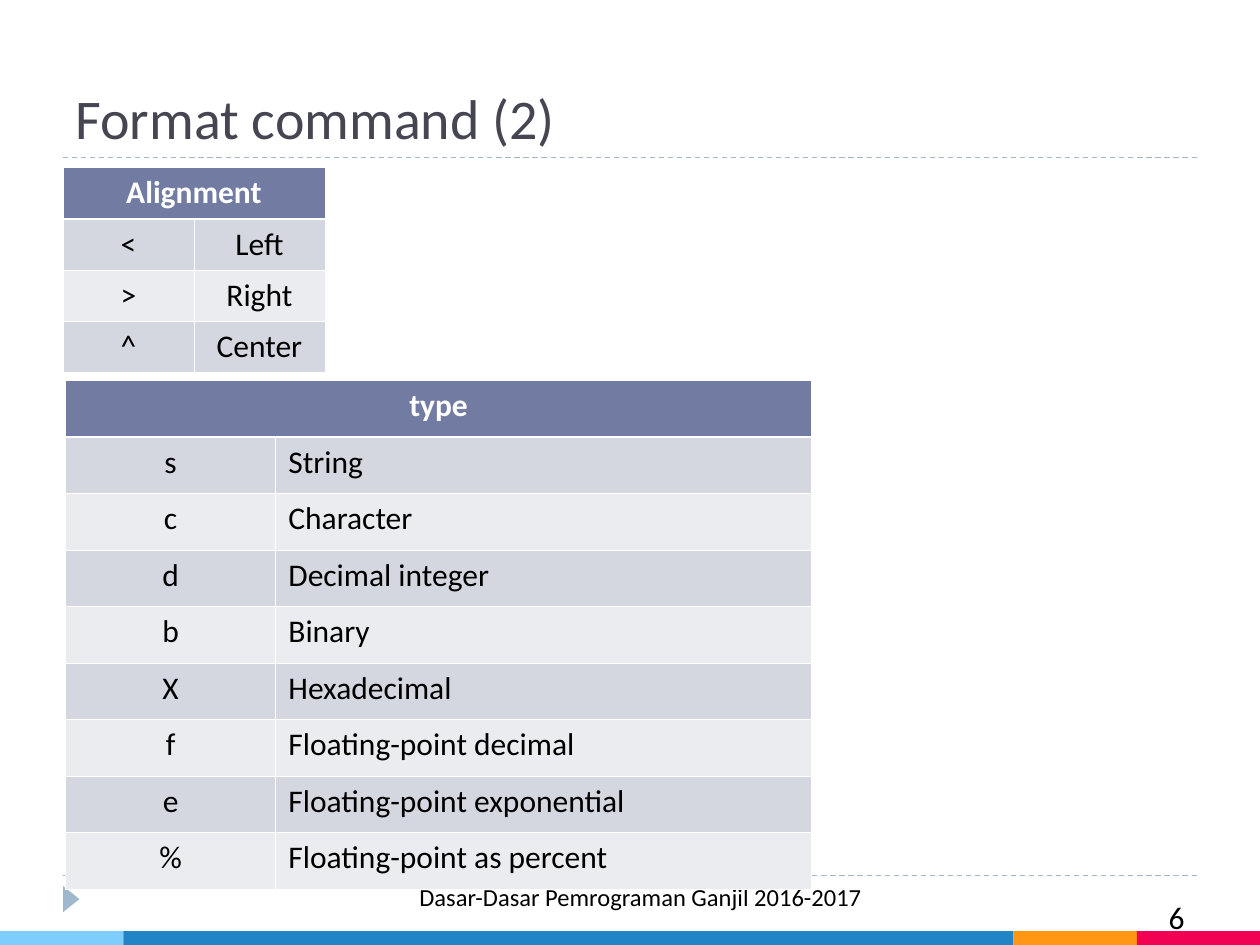
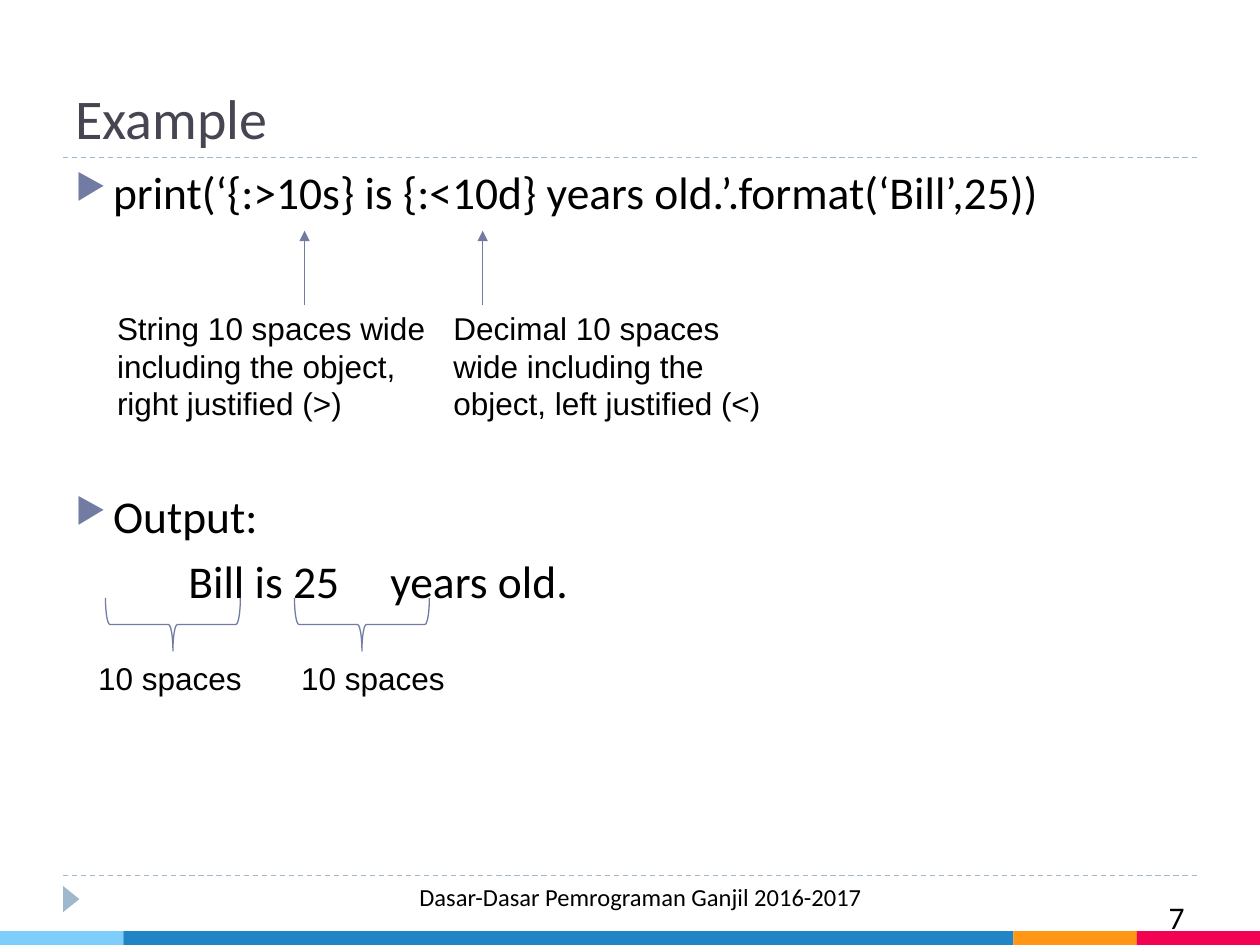
import pptx
import pptx.chart.data
import pptx.dml.color
import pptx.enum.dml
import pptx.enum.shapes
import pptx.enum.text
import pptx.oxml
import pptx.oxml.ns
import pptx.util
from lxml import etree

Cm = pptx.util.Cm
Pt = pptx.util.Pt
Shape = pptx.enum.shapes.MSO_SHAPE
Align = pptx.enum.text.PP_ALIGN
Anchor = pptx.enum.text.MSO_ANCHOR


def color(value):
    return pptx.dml.color.RGBColor.from_string(value)


def add_element(parent, tag, **attributes):
    return etree.SubElement(parent, pptx.oxml.ns.qn(tag), attributes)


class Lecture:
    ink = "000000"
    title_ink = "464653"
    accent = "727CA3"
    guide = "9FB8CD"
    white = "FFFFFF"
    stripes = ("D5D7E0", "EBECF0")
    bands = (("7ECEFD", 2.49), ("2185C5", 17.94), ("FF9715", 2.49), ("F20253", 2.48))
    footer = "Dasar-Dasar Pemrograman Ganjil 2016-2017"

    def __init__(self):
        self.deck = pptx.Presentation()
        self.deck.slide_width = Cm(25.4)
        self.deck.slide_height = Cm(19.05)
        self.page = None

    def new_page(self, title, number):
        self.page = self.deck.slides.add_slide(self.deck.slide_layouts[6])
        for height in (17.65, 3.18):
            rule = self.line((1.27, height), (24.13, height), self.guide)
            rule.line.dash_style = pptx.enum.dml.MSO_LINE.DASH
        marker = self.shape(Shape.ISOSCELES_TRIANGLE, 1.17, 17.96, 0.53, 0.33, fill=self.guide)
        marker.rotation = 90
        self.text(str(number), 18.62, 17.98, 5.51, 1.02, align=Align.RIGHT)
        left = 0
        for fill, width in self.bands:
            self.shape(Shape.RECTANGLE, left, 18.77, width, 0.28, fill=fill)
            left += width
        self.text(title, 1.27, 0.43, 22.86, 2.74, size=32, ink=self.title_ink, anchor=Anchor.BOTTOM)
        self.text(self.footer, 8.05, 17.65, 9.73, 1.02, size=14, align=Align.CENTER)

    def style(self, para, size, font, ink, bold=False):
        for span in para.runs:
            span.font.size = Pt(size)
            span.font.name = font
            span.font.bold = bold
            span.font.color.rgb = color(ink)

    def text(self, words, left, top, width, height, size=18, font="Calibri", ink=ink,
             align=Align.LEFT, anchor=Anchor.TOP):
        box = self.page.shapes.add_textbox(Cm(left), Cm(top), Cm(width), Cm(height))
        frame = box.text_frame
        frame.word_wrap = True
        frame.vertical_anchor = anchor
        frame.text = words
        for para in frame.paragraphs:
            para.alignment = align
            self.style(para, size, font, ink)
        return box

    def shape(self, kind, left, top, width, height, fill=None, outline=None):
        shape = self.page.shapes.add_shape(kind, Cm(left), Cm(top), Cm(width), Cm(height))
        shape.shadow.inherit = False
        if fill:
            shape.fill.solid()
            shape.fill.fore_color.rgb = color(fill)
        else:
            shape.fill.background()
        if outline:
            shape.line.color.rgb = color(outline)
            shape.line.width = Pt(0.75)
        else:
            shape.line.fill.background()
        return shape

    def line(self, start, end, ink):
        line = self.page.shapes.add_connector(
            pptx.enum.shapes.MSO_CONNECTOR.STRAIGHT, *map(Cm, start + end))
        line.line.color.rgb = color(ink)
        line.line.width = Pt(0.75)
        add_element(line._element.spPr, "a:effectLst")
        return line

    def arrow(self, start, end):
        arrow = self.line(start, end, self.accent)
        add_element(arrow.line._get_or_add_ln(), "a:tailEnd", type="triangle")

    def border(self, cell, row):
        properties = cell._tc.get_or_add_tcPr()
        heavy = {0: "B", 1: "T"}.get(row)
        for side in "LRTB":
            width = Pt(1.47 if side == heavy else 0.45)
            edge = add_element(properties, f"a:ln{side}", w=str(width))
            fill = add_element(edge, "a:solidFill")
            add_element(fill, "a:srgbClr", val=self.white)

    def table(self, header, rows, left, top, widths, row_height, aligns):
        count = len(rows) + 1
        table = self.page.shapes.add_table(
            count, 2, Cm(left), Cm(top), Cm(sum(widths)), Cm(row_height * count)).table
        for column, width in zip(table.columns, widths):
            column.width = Cm(width)
        for row in table.rows:
            row.height = Cm(row_height)
        table.cell(0, 0).merge(table.cell(0, 1))
        for row, words in enumerate([(header, "")] + rows):
            for column, word in enumerate(words):
                cell = table.cell(row, column)
                self.border(cell, row)
                cell.fill.solid()
                cell.fill.fore_color.rgb = color(self.stripes[(row - 1) % 2] if row else self.accent)
                if word:
                    cell.text = word
                    para = cell.text_frame.paragraphs[0]
                    para.alignment = aligns[column] if row else Align.CENTER
                    self.style(para, 18, "Calibri", self.ink if row else self.white, bold=row == 0)

    def bullet(self, para):
        properties = para._p.get_or_add_pPr()
        properties.set("marL", str(Cm(0.76)))
        properties.set("indent", str(Cm(-0.76)))
        add_element(add_element(properties, "a:buClr"), "a:srgbClr", val=self.accent)
        add_element(properties, "a:buSzPct", val="76000")
        add_element(properties, "a:buChar", char="▶")

    def tabbed(self, para, indent, stop):
        properties = para._p.get_or_add_pPr()
        properties.set("marL", "0")
        properties.set("indent", str(Cm(indent)))
        add_element(properties, "a:buNone")
        stops = add_element(properties, "a:tabLst")
        add_element(stops, "a:tab", pos=str(Cm(stop)), algn="l")


def format_codes(lecture):
    lecture.new_page("Format command (2)", 6)
    alignments = [("<", "Left"), (">", "Right"), ("^", "Center")]
    lecture.table("Alignment", alignments, 1.27, 3.38, (2.64, 2.64), 1.03,
                  (Align.CENTER, Align.CENTER))
    types = [
        ("s", "String"),
        ("c", "Character"),
        ("d", "Decimal integer"),
        ("b", "Binary"),
        ("X", "Hexadecimal"),
        ("f", "Floating-point decimal"),
        ("e", "Floating-point exponential"),
        ("%", "Floating-point as percent"),
    ]
    lecture.table("type", types, 1.32, 7.67, (4.24, 10.8), 1.14, (Align.CENTER, Align.LEFT))


def format_example(lecture):
    lecture.new_page("Example", 7)
    lines = (
        "print(‘{:>10s} is {:<10d} years old.’.format(‘Bill’,25))",
        "Output:",
        "Bill is 25\tyears old.",
    )
    body = lecture.text("\n".join(lines), 1.27, 3.18, 22.86, 13.72, size=26)
    code, output, result = body.text_frame.paragraphs
    lecture.bullet(code)
    lecture.bullet(output)
    lecture.tabbed(result, 2.28, 7.18)
    output.space_before = Pt(154)
    result.space_before = Pt(6)

    notes = (
        (6.14, 2.11, "String 10 spaces wide including the object, right justified (>)"),
        (9.73, 8.89, "Decimal 10 spaces wide including the object, left justified (<)"),
    )
    for arrow_left, note_left, words in notes:
        lecture.arrow((arrow_left, 6.15), (arrow_left, 4.65))
        lecture.text(words, note_left, 6.1, 6.78, 2.54, font="Arial")

    for brace_left, label_left in ((2.95, 1.73), (6.76, 5.82)):
        brace = lecture.shape(Shape.RIGHT_BRACE, brace_left, 11.23, 1.07, 2.72,
                              outline=lecture.accent)
        brace.rotation = 90
        lecture.text("10 spaces", label_left, 13.16, 3.81, 1.02, font="Arial")


def main():
    lecture = Lecture()
    format_codes(lecture)
    format_example(lecture)
    lecture.deck.save("out.pptx")


if __name__ == "__main__":
    main()
